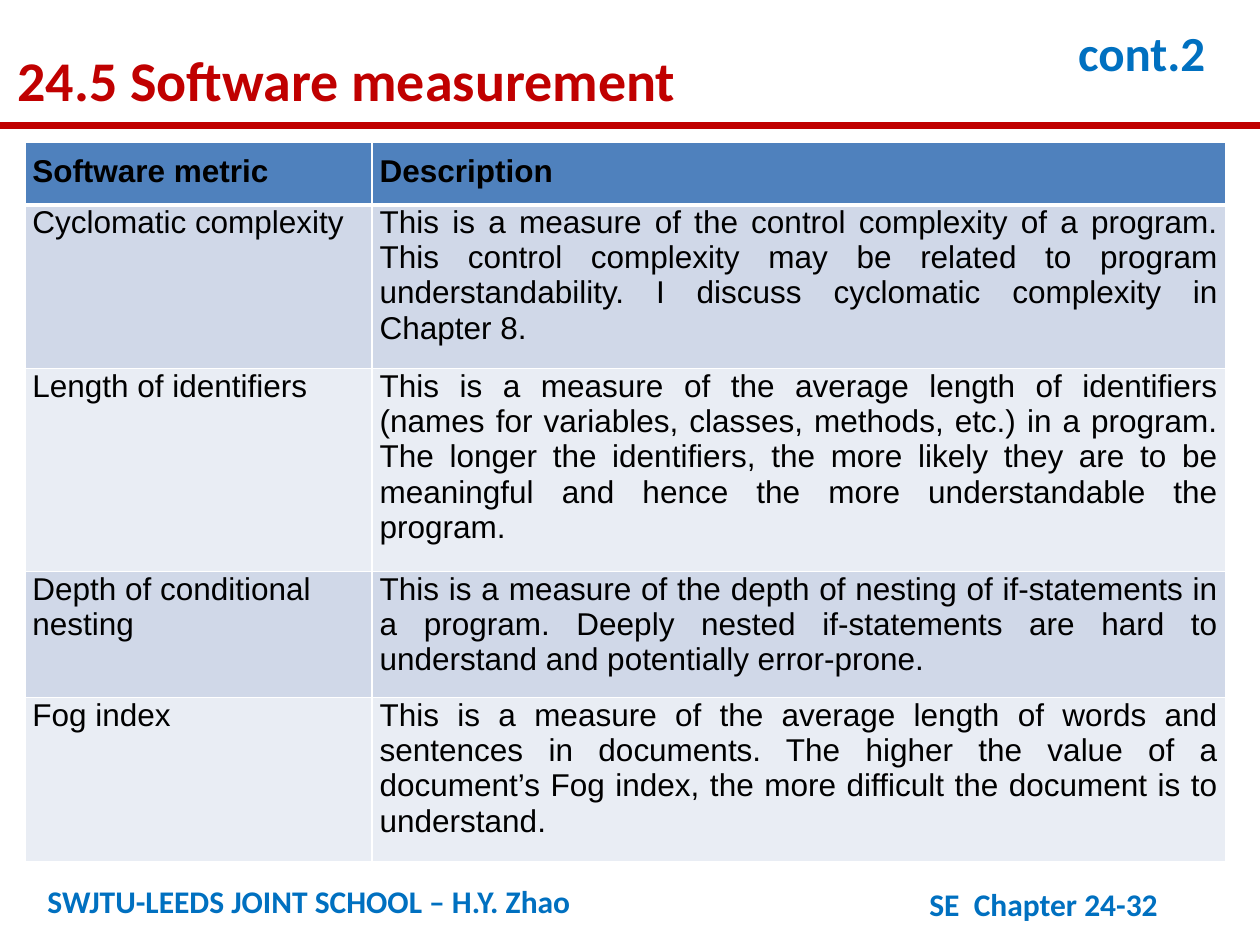
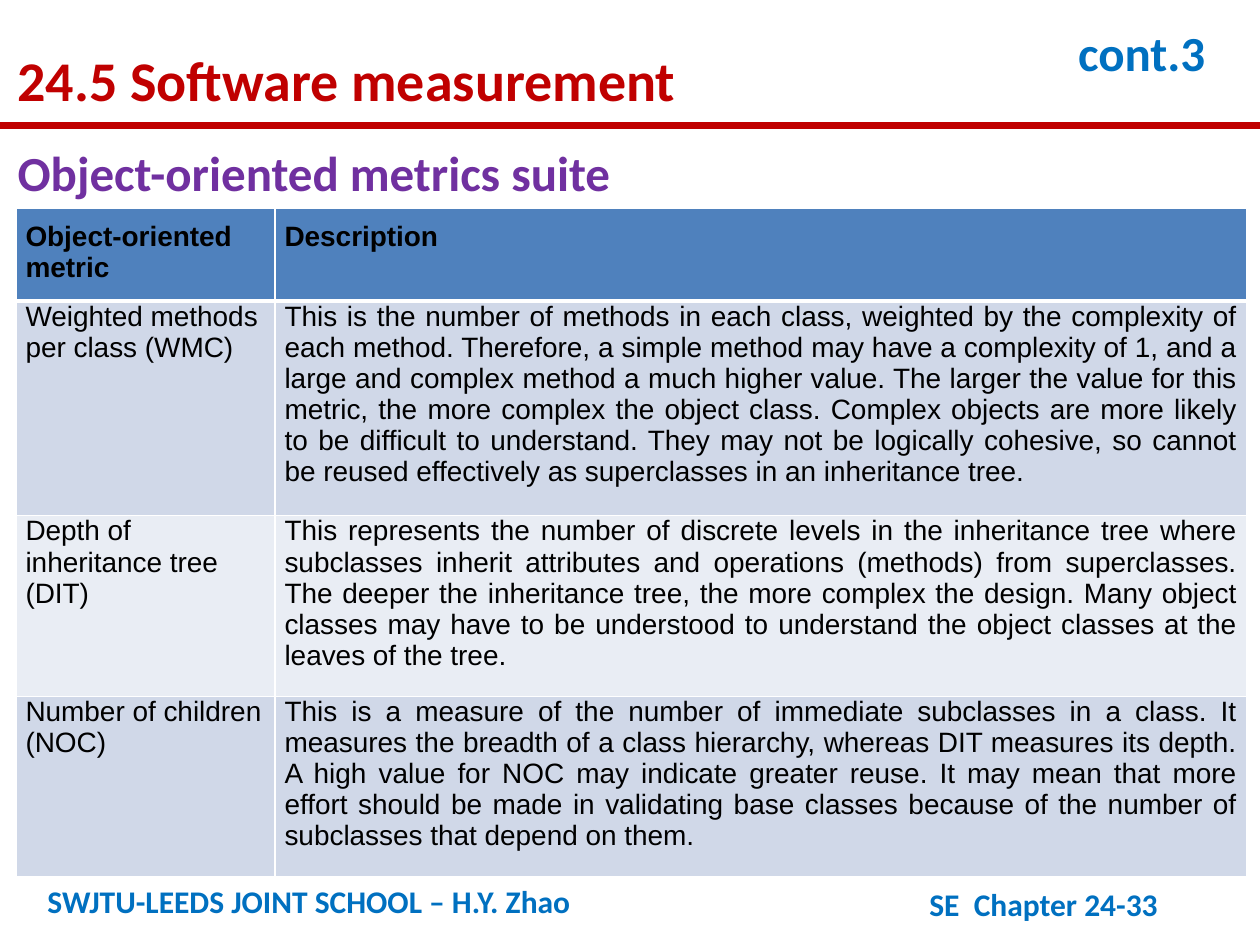
"""Build two slides of software metrics tables."""
import pptx
import pptx.dml.color
import pptx.enum.shapes
import pptx.enum.text
import pptx.oxml
import pptx.oxml.ns
import pptx.util

Pt = pptx.util.Pt
ALIGN = pptx.enum.text.PP_ALIGN
RED, BLUE, PURPLE = "C00000", "0070C0", "7030A0"
BLACK, WHITE = "000000", "FFFFFF"
HEADER_FILL, BAND_FILLS = "4F81BD", ("D0D8E8", "E9EDF4")
PAGE_WIDTH, PAGE_HEIGHT = 720, 540

GENERAL_METRICS = [
    ("Software metric", "Description"),
    ("Cyclomatic complexity",
     "This is a measure of the control complexity of a program. This control complexity may be "
     "related to program understandability. I discuss cyclomatic complexity in Chapter 8."),
    ("Length of identifiers",
     "This is a measure of the average length of identifiers (names for variables, classes, "
     "methods, etc.) in a program. The longer the identifiers, the more likely they are to be "
     "meaningful and hence the more understandable the program."),
    ("Depth of conditional nesting",
     "This is a measure of the depth of nesting of if-statements in a program. Deeply nested "
     "if-statements are hard to understand and potentially error-prone."),
    ("Fog index",
     "This is a measure of the average length of words and sentences in documents. The higher "
     "the value of a document’s Fog index, the more difficult the document is to understand."),
]

OBJECT_METRICS = [
    ("Object-oriented metric", "Description"),
    ("Weighted methods per class (WMC)",
     "This is the number of methods in each class, weighted by the complexity of each method. "
     "Therefore, a simple method may have a complexity of 1, and a large and complex method a "
     "much higher value. The larger the value for this metric, the more complex the object "
     "class. Complex objects are more likely to be difficult to understand. They may not be "
     "logically cohesive, so cannot be reused effectively as superclasses in an inheritance tree."),
    ("Depth of inheritance tree (DIT)",
     "This represents the number of discrete levels in the inheritance tree where subclasses "
     "inherit attributes and operations (methods) from superclasses. The deeper the inheritance "
     "tree, the more complex the design. Many object classes may have to be understood to "
     "understand the object classes at the leaves of the tree."),
    ("Number of children (NOC)",
     "This is a measure of the number of immediate subclasses in a class. It measures the "
     "breadth of a class hierarchy, whereas DIT measures its depth. A high value for NOC may "
     "indicate greater reuse. It may mean that more effort should be made in validating base "
     "classes because of the number of subclasses that depend on them."),
]


def colour(value):
    """Turn a hex string into a colour."""
    return pptx.dml.color.RGBColor.from_string(value)


def write_text(frame, text, size=18, font="Calibri", ink=BLUE, bold=True,
               align=ALIGN.LEFT, spacing=None):
    """Write one formatted paragraph into a text frame."""
    para = frame.paragraphs[0]
    para.alignment = align
    if spacing is not None:
        para.line_spacing = spacing
    span = para.add_run()
    span.text = text
    span.font.size = Pt(size)
    span.font.name = font
    span.font.bold = bold
    span.font.color.rgb = colour(ink)


def add_label(page, place, text, wrap=True, **text_format):
    """Add a text box at left, top, width, height."""
    box = page.shapes.add_textbox(*map(Pt, place))
    box.text_frame.word_wrap = wrap
    write_text(box.text_frame, text, **text_format)


def add_rule(page, top):
    """Draw the red rule across the page."""
    rule = page.shapes.add_connector(
        pptx.enum.shapes.MSO_CONNECTOR.STRAIGHT, 0, Pt(top), Pt(PAGE_WIDTH), Pt(top))
    rule.line.color.rgb = colour(RED)
    rule.line.width = Pt(4)
    properties = rule._element.spPr
    properties.append(properties.makeelement(pptx.oxml.ns.qn("a:effectLst"), {}))


def set_borders(cell, top_width, bottom_width):
    """Give a cell white borders."""
    properties = cell._tc.get_or_add_tcPr()
    for side, width in zip("LRTB", (1, 1, top_width, bottom_width)):
        properties.append(pptx.oxml.parse_xml(
            f'<a:ln{side} {pptx.oxml.ns.nsdecls("a")} w="{Pt(width)}"><a:solidFill>'
            f'<a:srgbClr val="{WHITE}"/></a:solidFill></a:ln{side}>'))


def add_metrics_table(page, left, top, widths, heights, rows, size, inset):
    """Add a banded table whose first row is the header."""
    table = page.shapes.add_table(len(rows), len(widths), Pt(left), Pt(top),
                                  Pt(sum(widths)), Pt(sum(heights))).table
    for column, width in zip(table.columns, widths):
        column.width = Pt(width)
    for row_number, (height, texts) in enumerate(zip(heights, rows)):
        table.rows[row_number].height = Pt(height)
        header = row_number == 0
        for column_number, text in enumerate(texts):
            cell = table.cell(row_number, column_number)
            set_borders(cell, 3 if row_number == 1 else 1, 3 if header else 1)
            cell.fill.solid()
            cell.fill.fore_color.rgb = colour(
                HEADER_FILL if header else BAND_FILLS[(row_number - 1) % 2])
            cell.margin_left = cell.margin_right = Pt(inset)
            cell.margin_top = Pt(7.2 if header else 0)
            cell.margin_bottom = Pt(7.2)
            justified = header or column_number == 1
            write_text(cell.text_frame, text, size=size, font="Arial", ink=BLACK, bold=header,
                       align=ALIGN.JUSTIFY if justified else ALIGN.LEFT)


def add_page(deck, part, number):
    """Add a page with the shared rule, footers and title."""
    page = deck.slides.add_slide(deck.slide_layouts[6])
    add_rule(page, 71.5)
    add_label(page, (20, 500.4, 454, 29), "SWJTU-LEEDS JOINT SCHOOL – H.Y. Zhao")
    add_label(page, (524, 502, 188, 29), f"SE  Chapter 24-{number}")
    add_label(page, (3, 15, 533, 50), "24.5 Software measurement", size=32, ink=RED, spacing=1.2)
    add_label(page, (609, 15, 108, 36), f"cont.{part}", size=28, spacing=Pt(28))
    return page


def main():
    """Build and save the deck."""
    deck = pptx.Presentation()
    deck.slide_width, deck.slide_height = Pt(PAGE_WIDTH), Pt(PAGE_HEIGHT)

    page = add_page(deck, 2, 32)
    add_metrics_table(page, 14.2, 81, (198.5, 487.5), (35.4, 93.1, 116, 71.5, 93.7),
                      GENERAL_METRICS, size=18, inset=4.3)

    page = add_page(deck, 3, 33)
    add_label(page, (3, 78, 358, 41), "Object-oriented metrics suite", wrap=False,
              size=28, ink=PURPLE)
    add_metrics_table(page, 9, 119.2, (148, 555.5), (52.2, 122.7, 103, 103),
                      OBJECT_METRICS, size=16, inset=5.6)

    deck.save("out.pptx")


if __name__ == "__main__":
    main()
